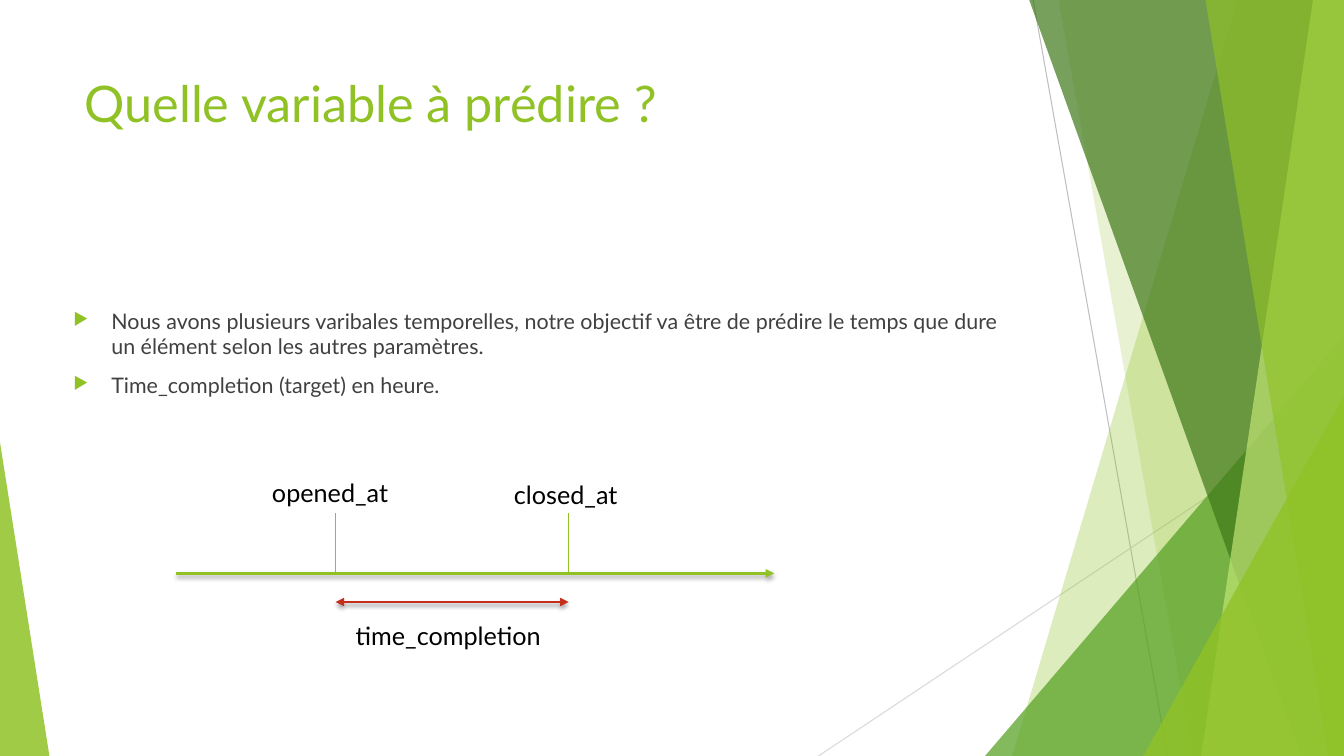
from dataclasses import dataclass

from lxml import etree
from pptx import Presentation
from pptx import util as u
from pptx.dml.color import RGBColor
from pptx.enum import shapes, text
from pptx.oxml import ns

COLORS = {
    "lime": "90C226",
    "leaf": "54A021",
    "forest": "3F7819",
    "pale": "C0E474",
    "silver": "BFBFBF",
    "mist": "D9D9D9",
    "red": "C42F1A",
    "body": "404040",
    "black": "000000",
}
FONT = "Lato"
WIDTH, HEIGHT, BLEED = 960, 540, -0.6
AXIS_Y, TICK_TOP, SPAN_Y = 409.5, 366.5, 430
OPENED_X, CLOSED_X = 239.8, 406.2


@dataclass
class Band:
    top_x: float
    bottom_x: float
    color: str
    opacity: int


@dataclass
class Wedge:
    left: float
    top: float
    width: float
    apex: float
    color: str
    opacity: int


@dataclass
class Line:
    start: tuple[float, float]
    end: tuple[float, float]
    color: str
    weight: float
    arrows: tuple[str, ...] = ()
    shadow: bool = False


@dataclass
class Label:
    left: float
    top: float
    width: float
    height: float
    words: tuple[str, ...]
    size: float
    color: str
    bullets: bool = False
    grow: bool = True


RAYS = [
    Line((738, 0), (834, HEIGHT), "silver", 0.75),
    Line((WIDTH, 290), (584.6, HEIGHT), "mist", 0.75),
]
FACETS = [
    Band(884, 723, "lime", 30),
    Band(756, 852, "lime", 20),
    Wedge(703.6, 240, 256.4, 1, "leaf", 72),
    Band(735, 929.5, "forest", 70),
    Band(938, 858, "pale", 70),
    Band(861, 949, "lime", 65),
    Wedge(816.6, 283, 143.4, 1, "lime", 80),
    Wedge(0, 316, 35.3, 0, "lime", 85),
]
LABELS = [
    Label(53.3, 48, 676.8, 103.7, ("Quelle variable à prédire ?",), 36, "lime", grow=False),
    Label(45.4, 217.4, 676.8, 65.5, (
        "Nous avons plusieurs varibales temporelles, notre objectif va être de prédire "
        "le temps que dure un élément selon les autres paramètres.",
        "Time_completion (target) en heure.",
    ), 15.3, "body", bullets=True, grow=False),
    Label(187.2, 337.7, 179.3, 29, ("opened_at",), 18, "black"),
    Label(360, 339.1, 101.5, 29, ("closed_at",), 18, "black"),
    Label(247, 439.2, 185, 29, ("time_completion",), 18, "black"),
]
TIMELINE = [
    Line((126, AXIS_Y), (553, AXIS_Y), "lime", 2, ("tailEnd",), True),
    *(Line((x, TICK_TOP), (x, AXIS_Y), "lime", 1) for x in (OPENED_X, CLOSED_X)),
    Line((OPENED_X, SPAN_Y), (CLOSED_X, SPAN_Y), "red", 2, ("headEnd", "tailEnd"), True),
]


def rgb(name: str) -> RGBColor:
    return RGBColor.from_string(COLORS[name])


def add_element(parent, tag: str, **attributes):
    element = etree.SubElement(parent, ns.qn(f"a:{tag}"))
    for name, value in attributes.items():
        element.set(name, str(value))
    return element


def apply_format(target, values: dict) -> None:
    for name, value in values.items():
        setattr(target, name, value)


def draw_line(page, line: Line) -> None:
    connector = page.shapes.add_connector(
        shapes.MSO_CONNECTOR.STRAIGHT, *(u.Pt(value) for value in line.start + line.end))
    connector.line.color.rgb = rgb(line.color)
    connector.line.width = u.Pt(line.weight)
    for arrow in line.arrows:
        add_element(connector.line._get_or_add_ln(), arrow, type="triangle")
    effects = add_element(connector._element.spPr, "effectLst")
    if line.shadow:
        shadow = add_element(effects, "outerShdw", blurRad=u.Pt(3), dist=u.Pt(2),
                             dir=90 * 60000, rotWithShape=0)
        shade = add_element(shadow, "srgbClr", val=COLORS["black"])
        add_element(shade, "alpha", val=35000)


def draw_facet(page, facet: Band | Wedge) -> None:
    if isinstance(facet, Band):
        builder = page.shapes.build_freeform(u.Pt(facet.top_x), u.Pt(BLEED))
        corners = [(WIDTH, BLEED), (WIDTH, HEIGHT), (facet.bottom_x, HEIGHT)]
        builder.add_line_segments([(u.Pt(x), u.Pt(y)) for x, y in corners])
        shape = builder.convert_to_shape()
    else:
        frame = (facet.left, facet.top, facet.width, HEIGHT - facet.top)
        shape = page.shapes.add_shape(
            shapes.MSO_SHAPE.ISOSCELES_TRIANGLE, *(u.Pt(value) for value in frame))
        shape.adjustments[0] = facet.apex
    shape.shadow.inherit = False
    shape.line.fill.background()
    shape.fill.solid()
    shape.fill.fore_color.rgb = rgb(facet.color)
    color = shape._element.spPr.find(ns.qn("a:solidFill"))[0]
    add_element(color, "alpha", val=facet.opacity * 1000)


def add_bullet(para) -> None:
    properties = para._p.get_or_add_pPr()
    properties.set("marL", str(u.Pt(27)))
    properties.set("indent", str(u.Pt(-27)))
    color = add_element(properties, "buClr")
    add_element(color, "srgbClr", val=COLORS["lime"])
    add_element(properties, "buSzPct", val=80000)
    add_element(properties, "buChar", char="▶")


def draw_label(page, label: Label) -> None:
    frame = (label.left, label.top, label.width, label.height)
    box = page.shapes.add_textbox(*(u.Pt(value) for value in frame)).text_frame
    fit = text.MSO_AUTO_SIZE.SHAPE_TO_FIT_TEXT if label.grow else text.MSO_AUTO_SIZE.NONE
    apply_format(box, {"word_wrap": True, "auto_size": fit,
                       "vertical_anchor": text.MSO_ANCHOR.TOP})
    for index, words in enumerate(label.words):
        para = box.add_paragraph() if index else box.paragraphs[0]
        if label.bullets:
            apply_format(para, {"space_before": u.Pt(10), "line_spacing": 0.97})
            add_bullet(para)
        span = para.add_run()
        span.text = words
        apply_format(span.font, {"name": FONT, "size": u.Pt(label.size)})
        span.font.color.rgb = rgb(label.color)


def main() -> None:
    deck = Presentation()
    apply_format(deck, {"slide_width": u.Pt(WIDTH), "slide_height": u.Pt(HEIGHT)})
    page = deck.slides.add_slide(deck.slide_layouts[6])
    for ray in RAYS:
        draw_line(page, ray)
    for facet in FACETS:
        draw_facet(page, facet)
    for label in LABELS:
        draw_label(page, label)
    for line in TIMELINE:
        draw_line(page, line)
    deck.save("out.pptx")


if __name__ == "__main__":
    main()
